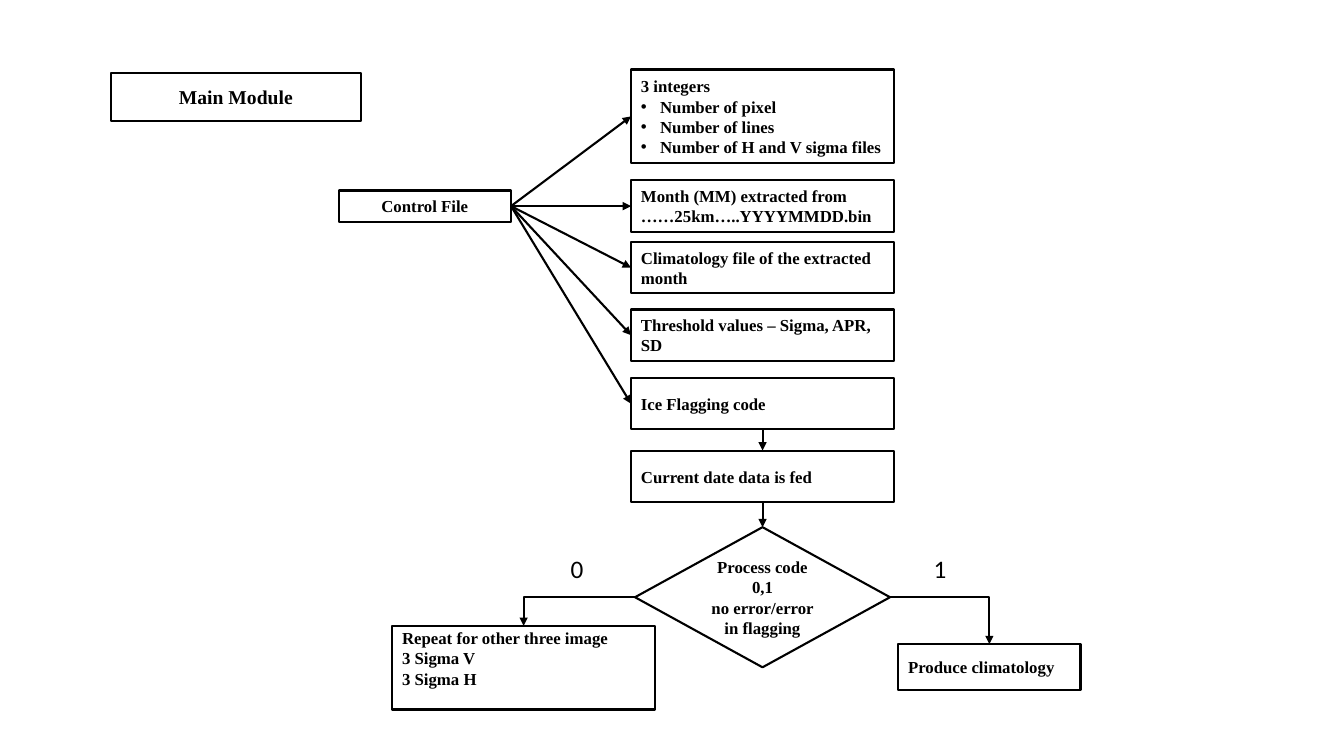
from collections import namedtuple

from lxml import etree
from pptx import Presentation
from pptx import util as u
from pptx.dml.color import RGBColor
from pptx.enum import shapes, text
from pptx.oxml import ns

CELL = u.Inches(0.1)
COLUMNS, ROWS = 133.33, 75
INK, PAPER = "000000", "FFFFFF"
TOP, LEFT, BOTTOM, RIGHT = range(4)
CENTER, START = text.PP_ALIGN.CENTER, text.PP_ALIGN.LEFT
MIDDLE = text.MSO_ANCHOR.MIDDLE

Box = namedtuple("Box", "left top width height")


def color(value):
    return RGBColor.from_string(value)


def grid(*cells):
    return [round(cell * CELL) for cell in cells]


def add_bullet(para):
    props = para._p.get_or_add_pPr()
    indent = u.Inches(0.19)
    props.set("marL", str(indent))
    props.set("indent", str(-indent))
    etree.SubElement(props, ns.qn("a:buFont")).set("typeface", "Arial")
    etree.SubElement(props, ns.qn("a:buChar")).set("char", "•")


def write(shape, lines, size=12, font="Times New Roman", bold=True,
          align=START, anchor=MIDDLE, bullets_from=None):
    frame = shape.text_frame
    frame.word_wrap = True
    frame.auto_size = text.MSO_AUTO_SIZE.NONE
    frame.vertical_anchor = anchor
    for index, line in enumerate(lines):
        para = frame.paragraphs[0] if index == 0 else frame.add_paragraph()
        para.alignment = align
        if bullets_from is not None and index >= bullets_from:
            add_bullet(para)
        span = para.add_run()
        span.text = line
        span.font.size = u.Pt(size)
        span.font.name = font
        span.font.bold = bold
        span.font.color.rgb = color(INK)


def outline(shape):
    shape.fill.solid()
    shape.fill.fore_color.rgb = color(PAPER)
    shape.line.color.rgb = color(INK)
    shape.line.width = u.Pt(1.5)


def add_node(page, box, lines, kind=shapes.MSO_SHAPE.RECTANGLE, **style):
    node = page.shapes.add_shape(kind, *grid(*box))
    node.shadow.inherit = False
    outline(node)
    write(node, lines, **style)
    return node


def add_arrow(page, source, source_site, target, target_site, bent=False):
    kind = shapes.MSO_CONNECTOR.ELBOW if bent else shapes.MSO_CONNECTOR.STRAIGHT
    arrow = page.shapes.add_connector(kind, 0, 0, 0, 0)
    arrow.begin_connect(source, source_site)
    arrow.end_connect(target, target_site)
    arrow.line.color.rgb = color(INK)
    arrow.line.width = u.Pt(1.5)
    props = arrow._element.spPr
    if bent:
        props.find(ns.qn("a:prstGeom")).set("prst", "bentConnector2")
    etree.SubElement(arrow.line._get_or_add_ln(), ns.qn("a:tailEnd")).set("type", "triangle")
    etree.SubElement(props, ns.qn("a:effectLst"))


def add_branch_label(page, box, label):
    caption = page.shapes.add_textbox(*grid(*box))
    frame = caption.text_frame
    frame.margin_left = frame.margin_right = 0
    write(caption, [label], size=18, font="Calibri", bold=False,
          align=CENTER, anchor=text.MSO_ANCHOR.TOP)


def build_title(page, box):
    title = page.shapes.title
    title.left, title.top, title.width, title.height = grid(*box)
    outline(title)
    write(title, ["Main Module"], size=14, align=CENTER)


def build_control_file(page, box):
    control = add_node(page, Box(box.left, box.top + 12, 17.1, 3.1),
                       ["Control File"], align=CENTER)
    contents = [
        (0, 9.3, ["3 integers", "Number of pixel", "Number of lines",
                  "Number of H and V sigma files"], 1),
        (11, 5.1, ["Month (MM) extracted from ……25km…..YYYYMMDD.bin"], None),
        (17.1, 5.1, ["Climatology file of the extracted month"], None),
        (23.8, 5.1, ["Threshold values – Sigma, APR, SD"], None),
        (30.6, 5.1, ["Ice Flagging code"], None),
    ]
    width = 26.1
    left = box.left + box.width - width
    for offset, height, lines, bullets_from in contents:
        entry = add_node(page, Box(left, box.top + offset, width, height), lines,
                         bullets_from=bullets_from)
        add_arrow(page, control, RIGHT, entry, LEFT)
    return entry


def build_process(page, box, flagging):
    left, top = box.left, box.top
    current = add_node(page, Box(left + 23.7, top, 26.1, 5.1), ["Current date data is fed"])
    decision = add_node(page, Box(left + 24.1, top + 7.6, 25.3, 13.9),
                        ["Process code 0,1", "no error/error in flagging"],
                        kind=shapes.MSO_SHAPE.FLOWCHART_DECISION, align=CENTER)
    repeat = add_node(page, Box(left, top + 17.4, 26.1, 8.3),
                      ["Repeat for other three image", "3 Sigma V", "3 Sigma H"],
                      anchor=text.MSO_ANCHOR.TOP)
    repeat.text_frame.margin_top = u.Inches(0.02)
    produce = add_node(page, Box(left + box.width - 18.1, top + 19.2, 18.1, 4.6),
                       ["Produce climatology"])
    add_arrow(page, flagging, BOTTOM, current, TOP)
    add_arrow(page, current, BOTTOM, decision, TOP)
    add_arrow(page, decision, LEFT, repeat, TOP, bent=True)
    add_arrow(page, decision, RIGHT, produce, TOP, bent=True)
    for offset, label in ((16.7, "0"), (52.7, "1")):
        add_branch_label(page, Box(left + offset, top + 9.7, 3.3, 4), label)


def main():
    deck = Presentation()
    deck.slide_width, deck.slide_height = grid(COLUMNS, ROWS)
    page = deck.slides.add_slide(deck.slide_layouts[5])
    build_title(page, Box(11, 7.2, 24.8, 4.8))
    flagging = build_control_file(page, Box(33.6, 6.9, 55.1, 35.7))
    build_process(page, Box(38.9, 44.7, 68.3, 25.7), flagging)
    deck.save("out.pptx")


if __name__ == "__main__":
    main()
